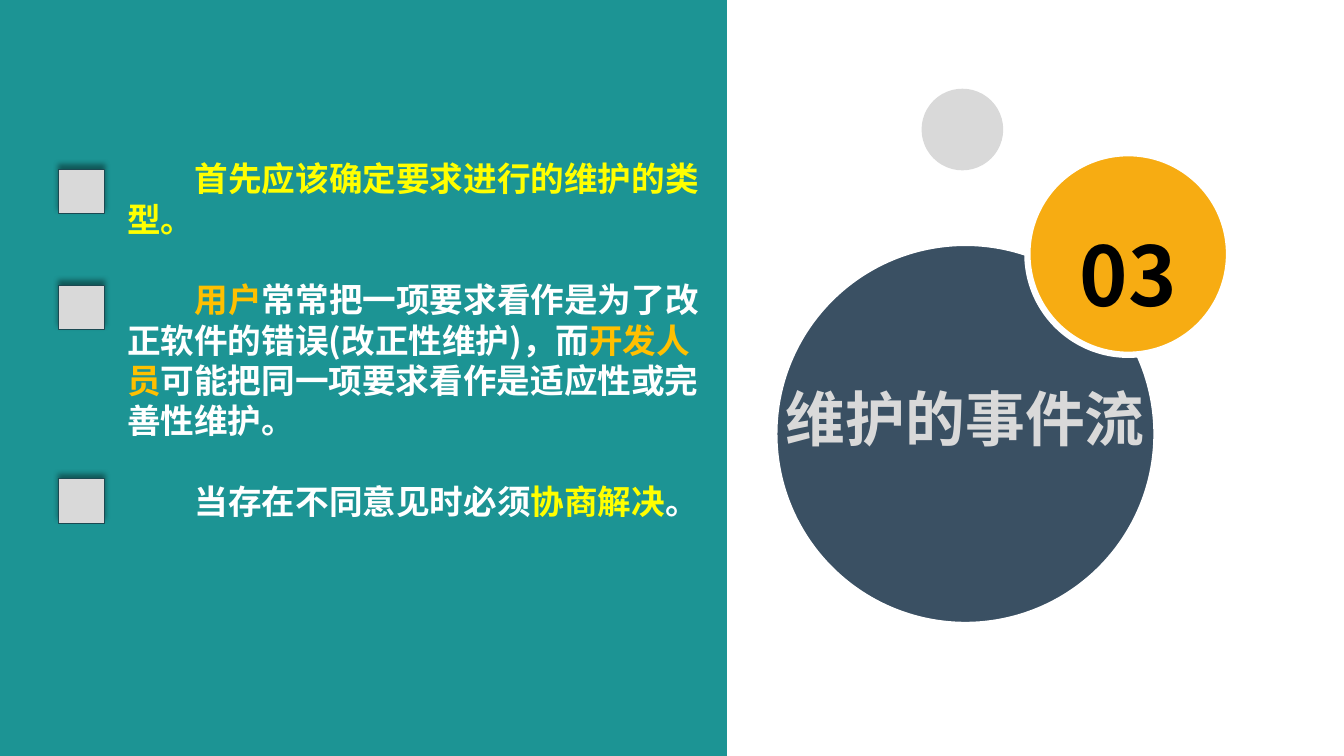
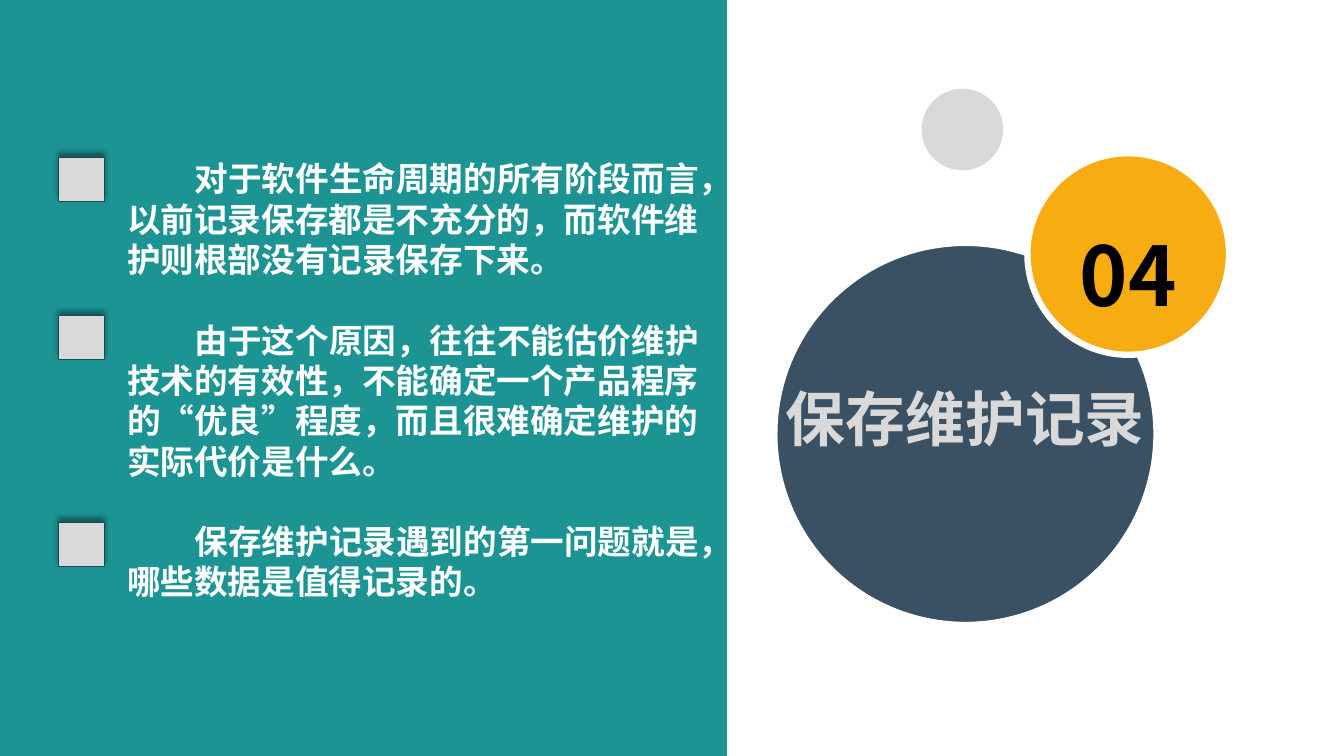
from lxml.etree import SubElement as Sub
from pptx import Presentation
from pptx.dml.color import RGBColor as RGB
from pptx.enum.shapes import MSO_SHAPE as Kind
from pptx.enum.text import MSO_ANCHOR as Anchor, MSO_AUTO_SIZE as Auto, PP_ALIGN as Align
from pptx.oxml.ns import qn
from pptx.util import Pt

PX = 9144
FONT = "Noto Sans CJK SC"
HUES = {
    "teal": "1C9494", "grey": "D9D9D9", "navy": "3A5063", "amber": "F7AC12",
    "edge": "1B4952", "white": "FFFFFF", "black": "000000",
    "lemon": "FFFF00", "gold": "FFC000",
}
BACK = [
    (Kind.RECTANGLE, (0, 0, 721, 750), "teal", None),
    (Kind.OVAL, (914, 88, 81, 81), "grey", None),
    (Kind.OVAL, (768, 241, 379, 379), "navy", ("white", 4.5)),
    (Kind.OVAL, (1019, 152, 200, 200), "amber", ("white", 4.5)),
]
PAGES = [
    ("03", "维护的事件流", 374, (168, 283, 475), [
        [("首先应该确定要求进行的维护的类型。", "lemon")],
        [("用户", "gold"),
         ("常常把一项要求看作是为了改正软件的错误(改正性维护)，而", "white"),
         ("开发人员", "gold"),
         ("可能把同一项要求看作是适应性或完善性维护。", "white")],
        [("当存在不同意见时必须", "white"), ("协商解决", "lemon"), ("。", "white")],
    ]),
    ("04", "保存维护记录", 495, (156, 313, 518), [
        [("对于软件生命周期的所有阶段而言，以前记录保存都是不充分的，"
          "而软件维护则根部没有记录保存下来。", "white")],
        [("由于这个原因，往往不能估价维护技术的有效性，不能确定一个产品程序的“优良”程度，"
          "而且很难确定维护的实际代价是什么。", "white")],
        [("保存维护记录遇到的第一问题就是，哪些数据是值得记录的。", "white")],
    ]),
]


def draw(kind, box, fill, line):
    shape = slide.shapes.add_shape(kind, *[n * PX for n in box])
    shape.shadow.inherit = False
    shape.fill.solid()
    shape.fill.fore_color.rgb = RGB.from_string(HUES[fill])
    if line:
        shape.line.color.rgb = RGB.from_string(HUES[line[0]])
        shape.line.width = Pt(line[1])
    else:
        shape.line.fill.background()
    return shape


def style(run, size, hue):
    run.font.size = Pt(size)
    run.font.bold = True
    run.font.color.rgb = RGB.from_string(HUES[hue])
    run.font.name = FONT
    Sub(run.font._element, qn("a:ea"), typeface=FONT)


deck = Presentation()
deck.slide_width, deck.slide_height = 1333 * PX, 750 * PX

for num, head, tall, marks, paras in PAGES:
    slide = deck.slides.add_slide(deck.slide_layouts[5])
    for part in BACK:
        draw(*part)

    title = slide.shapes.title
    slide.shapes._spTree.append(title._element)
    label = slide.shapes.add_textbox(0, 0, PX, PX)
    body = slide.shapes.add_textbox(0, 0, PX, PX)
    for shape, box, pad, anchor in (
        (title, (768, 372, 379, 85), (7, 7), Anchor.TOP),
        (label, (1066, 190, 106, 123), (0, 0), Anchor.MIDDLE),
        (body, (119, 152, 601, tall), (7, 5), Anchor.TOP),
    ):
        shape.left, shape.top, shape.width, shape.height = [n * PX for n in box]
        frame = shape.text_frame
        frame.word_wrap = True
        frame.auto_size = Auto.NONE
        frame.vertical_anchor = anchor
        frame.margin_left = frame.margin_right = pad[0] * PX
        frame.margin_top = frame.margin_bottom = pad[1] * PX

    for shape, text, size, hue in (
        (title, head, 42.7, "grey"), (label, num, 58.7, "black"),
    ):
        shape.text_frame.text = text
        para = shape.text_frame.paragraphs[0]
        para.alignment = Align.CENTER
        style(para.runs[0], size, hue)
    label.text_frame.paragraphs[0].line_spacing = 1.4

    frame = body.text_frame
    for i, parts in enumerate(paras):
        para = frame.add_paragraph() if i else frame.paragraphs[0]
        para.line_spacing = Pt(28.8)
        if i:
            para.space_before = Pt(28.8)
        props = para._p.get_or_add_pPr()
        props.set("marL", "0")
        props.set("indent", str(67 * PX))
        for text, hue in parts:
            run = para.add_run()
            run.text = text
            style(run, 24, hue)

    for top in marks:
        mark = draw(Kind.RECTANGLE, (58, top, 46, 44), "grey", ("edge", 0.75))
        glow = Sub(mark._element.spPr.find(qn("a:effectLst")), qn("a:outerShdw"),
                   blurRad=str(Pt(4)), dist=str(Pt(3)), dir="16200000", rotWithShape="0")
        tint = Sub(glow, qn("a:srgbClr"), val=HUES["black"])
        Sub(tint, qn("a:alpha"), val="40000")

deck.save("out.pptx")
